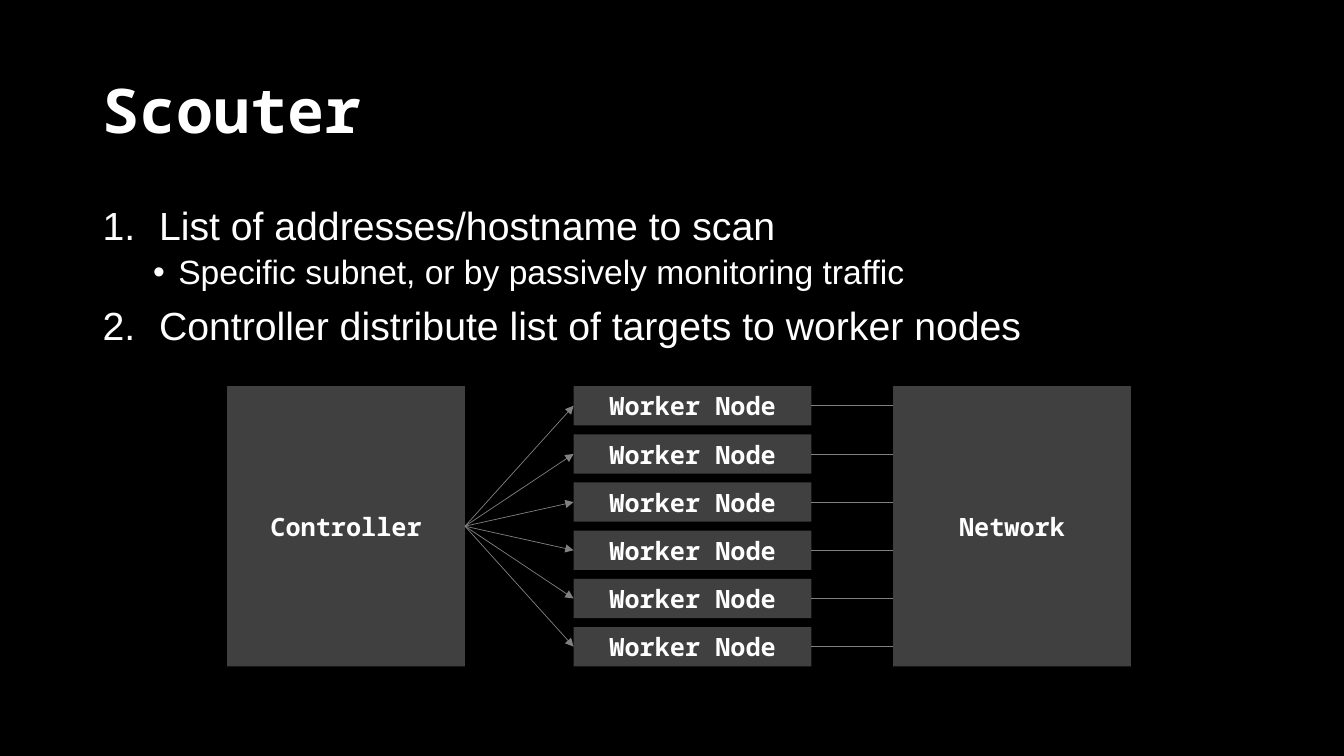
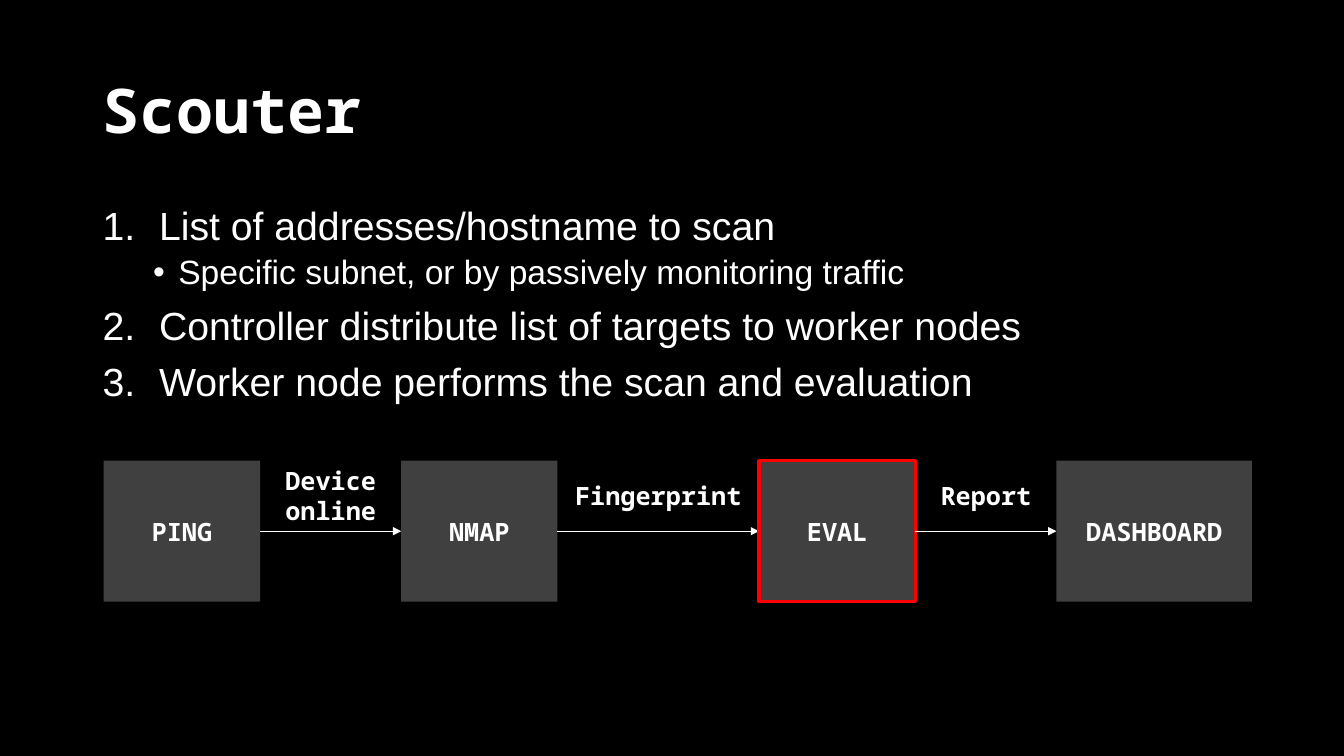
from lxml import etree
from pptx import Presentation
from pptx.dml.color import RGBColor
from pptx.enum.shapes import MSO_CONNECTOR, MSO_SHAPE
from pptx.enum.text import MSO_ANCHOR, PP_ALIGN
from pptx.oxml.ns import qn
from pptx.util import Inches, Pt

BLACK = RGBColor(0x00, 0x00, 0x00)
WHITE = RGBColor(0xFF, 0xFF, 0xFF)
DARK_GRAY = RGBColor(0x40, 0x40, 0x40)
GRAY = RGBColor(0x80, 0x80, 0x80)
RED = RGBColor(0xFF, 0x00, 0x00)

RECTANGLE = MSO_SHAPE.RECTANGLE
STRAIGHT = MSO_CONNECTOR.STRAIGHT
MIDDLE = MSO_ANCHOR.MIDDLE
TOP = MSO_ANCHOR.TOP
LEFT = PP_ALIGN.LEFT
CENTER = PP_ALIGN.CENTER

HEADING_FONT = "Noto Sans Mono"
BODY_FONT = "Arial"
MARGIN, CONTENT_WIDTH = 6.9, 86.25

STEPS = [
    (0, "List of addresses/hostname to scan"),
    (1, "Specific subnet, or by passively monitoring traffic"),
    (0, "Controller distribute list of targets to worker nodes"),
    (0, "Worker node performs the scan and evaluation"),
]
# Per level: font size, space before, left margin, hanging indent, bullet
LEVELS = [
    (28, 10, 0.56, 0.56, ("a:buAutoNum", "type", "arabicPeriod")),
    (24, 5, 0.75, 0.25, ("a:buChar", "char", "•")),
]


class Deck:
    """Holds the style and current slide; lengths are percent of the slide."""

    def __init__(self):
        self.presentation = Presentation()
        self.presentation.slide_width = Inches(13.33)
        self.presentation.slide_height = Inches(7.5)
        self.slide = None

    def x(self, share):
        return round(self.presentation.slide_width * share / 100)

    def y(self, share):
        return round(self.presentation.slide_height * share / 100)

    def area(self, left, top, width, height):
        return self.x(left), self.y(top), self.x(width), self.y(height)

    def new_slide(self, title):
        self.slide = self.presentation.slides.add_slide(
            self.presentation.slide_layouts[6])
        fill = self.slide.background.fill
        fill.solid()
        fill.fore_color.rgb = BLACK
        frame = self.text_box(MARGIN, 5.33, CONTENT_WIDTH, 19.33)
        self.set_text(frame, [title], size=44, align=LEFT)
        frame.paragraphs[0].line_spacing = 0.9

    def text_box(self, left, top, width, height, anchor=MIDDLE):
        box = self.slide.shapes.add_textbox(*self.area(left, top, width, height))
        frame = box.text_frame
        frame.word_wrap = True
        frame.vertical_anchor = anchor
        return frame

    def set_text(self, frame, lines, size=18, align=CENTER, font=HEADING_FONT):
        frame.text = "\n".join(lines)
        for paragraph in frame.paragraphs:
            paragraph.alignment = align
            paragraph.font.name = font
            paragraph.font.size = Pt(size)
            paragraph.font.bold = font == HEADING_FONT
            paragraph.font.color.rgb = WHITE

    def steps(self, items):
        frame = self.text_box(MARGIN, 26.67, CONTENT_WIDTH, 20.53, TOP)
        self.set_text(frame, [text for _, text in items], align=LEFT, font=BODY_FONT)
        for paragraph, (level, _) in zip(frame.paragraphs, items):
            size, space, margin, hanging, bullet = LEVELS[level]
            paragraph.level = level
            paragraph.font.size = Pt(size)
            paragraph.line_spacing = 0.9
            paragraph.space_before = Pt(space)
            self.set_bullet(paragraph, margin, hanging, bullet)

    def set_bullet(self, paragraph, margin, hanging, bullet):
        properties = paragraph._p.get_or_add_pPr()
        properties.set("marL", str(Inches(margin)))
        properties.set("indent", str(-Inches(hanging)))
        defaults = properties.find(qn("a:defRPr"))
        for tag, name, value in (("a:buFont", "typeface", BODY_FONT), bullet):
            element = etree.Element(qn(tag))
            element.set(name, value)
            defaults.addprevious(element)

    def block(self, text, left, top, width, height, outline=None):
        shape = self.slide.shapes.add_shape(
            RECTANGLE, *self.area(left, top, width, height))
        shape.shadow.inherit = False
        shape.fill.solid()
        shape.fill.fore_color.rgb = DARK_GRAY
        if outline is None:
            shape.line.fill.background()
        else:
            shape.line.color.rgb = outline
            shape.line.width = Pt(2.25)
        shape.text_frame.vertical_anchor = MIDDLE
        self.set_text(shape.text_frame, [text])

    def line(self, start, end, color, arrow=False):
        connector = self.slide.shapes.add_connector(
            STRAIGHT, self.x(start[0]), self.y(start[1]),
            self.x(end[0]), self.y(end[1]))
        connector.line.color.rgb = color
        connector.line.width = Pt(0.5)
        if arrow:
            outline = connector.line._get_or_add_ln()
            etree.SubElement(outline, qn("a:tailEnd")).set("type", "triangle")
        etree.SubElement(connector._element.spPr, qn("a:effectLst"))


def distribution_slide(deck):
    deck.new_slide("Scouter")
    deck.steps(STEPS[:3])
    top, height, width = 51.07, 37.07, 17.7
    controller, workers, network = 16.9, 42.68, 66.45
    worker_count, worker_height = 6, 5.2
    pitch = (height - worker_height) / (worker_count - 1)

    deck.block("Controller", controller, top, width, height)
    deck.block("Network", network, top, width, height)
    source = (controller + width, top + height / 2)
    for index in range(worker_count):
        worker_top = top + index * pitch
        middle = worker_top + worker_height / 2
        deck.block("Worker Node", workers, worker_top, width, worker_height)
        deck.line(source, (workers, middle), GRAY, arrow=True)
        deck.line((workers + width, middle), (network, middle), GRAY)


def pipeline_slide(deck):
    deck.new_slide("Scouter")
    deck.steps(STEPS)
    top, height = 60.93, 18.67
    middle = top + height / 2
    # Each stage: name, width, outline, gap to the next stage, arrow label
    stages = [
        ("PING", 11.63, None, 10.5, ["Device", "online"]),
        ("NMAP", 11.63, None, 15, ["Fingerprint"]),
        ("EVAL", 11.63, RED, 10.5, ["Report"]),
        ("DASHBOARD", 14.55, None, 0, []),
    ]
    left = 7.72
    for name, width, outline, gap, label in stages:
        deck.block(name, left, top, width, height, outline)
        left += width
        if label:
            deck.line((left, middle), (left + gap, middle), WHITE, arrow=True)
            deck.set_text(deck.text_box(left, 60.8, gap, 9.5), label)
        left += gap


def main():
    deck = Deck()
    distribution_slide(deck)
    pipeline_slide(deck)
    deck.presentation.save("out.pptx")


if __name__ == "__main__":
    main()
